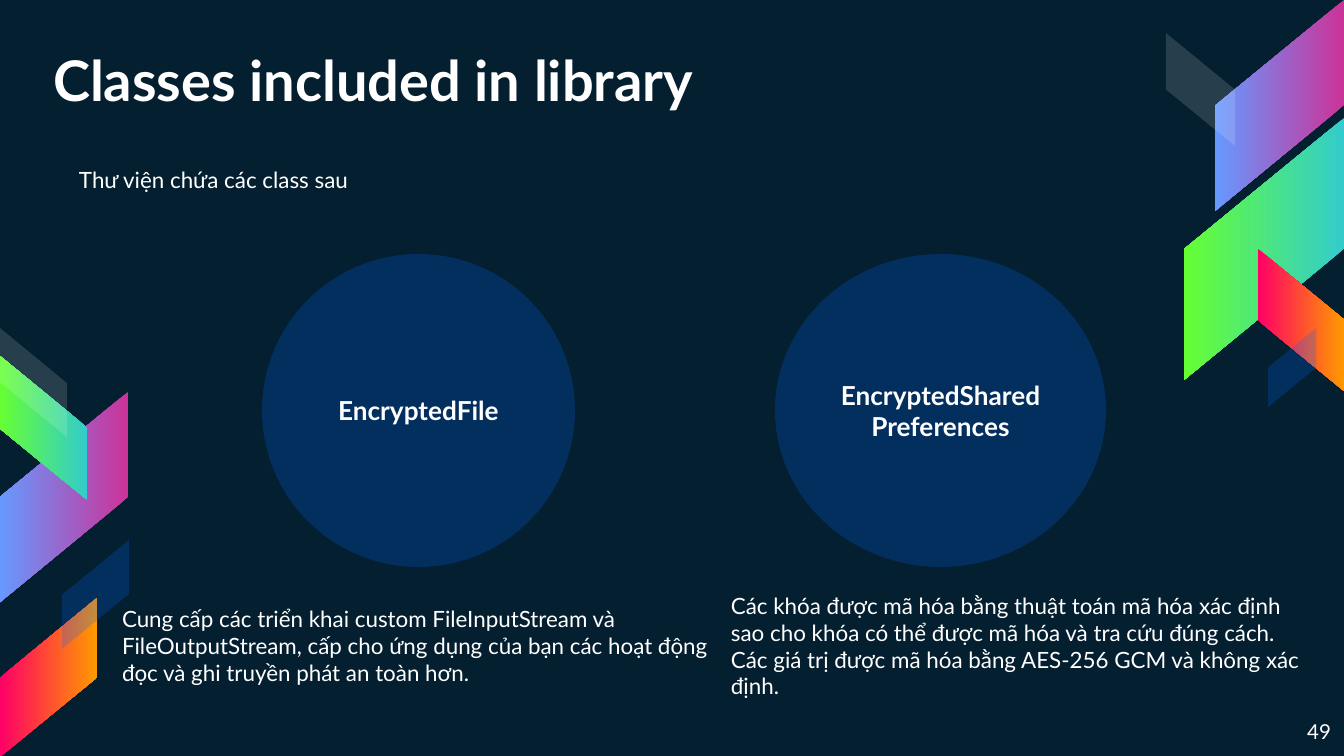
"""Build the slide that presents the two classes of the encryption library."""
from dataclasses import dataclass

from lxml import etree
from pptx import Presentation
from pptx import util as u
from pptx.dml.color import RGBColor
from pptx.enum import shapes, text
from pptx.oxml.ns import qn

SCALE = 914400 / 134.4
FONT = "Lato"
WHITE, BLUE = "FFFFFF", "0066FF"
PINK, TEAL, ORANGE = ("CC3399", "6699FF"), ("33CCCC", "66FF33"), ("FF0066", "FF9900")
LEFT, CENTER, RIGHT = text.PP_ALIGN.LEFT, text.PP_ALIGN.CENTER, text.PP_ALIGN.RIGHT
TOP, MIDDLE, BOTTOM = text.MSO_ANCHOR.TOP, text.MSO_ANCHOR.MIDDLE, text.MSO_ANCHOR.BOTTOM


@dataclass
class Ribbon:
    """A slanted band, placed by the box in which it shows."""
    x: int
    y: int
    w: int
    h: int
    turn: int
    rising: bool
    colors: tuple[str, ...]
    alpha: int = 100


@dataclass
class Label:
    """A text box and its paragraphs."""
    x: int
    y: int
    w: int
    h: int
    lines: tuple[str, ...]
    size: int = 12
    bold: bool = False
    align: text.PP_ALIGN = LEFT
    anchor: text.MSO_ANCHOR = TOP
    inset: int = 7
    grow: bool = True


@dataclass
class Circle:
    """A round shape that names a class."""
    x: int
    y: int
    w: int
    h: int
    name: str


RIBBONS = [
    Ribbon(1215, 0, 129, 211, 90, True, PINK),
    Ribbon(1184, 118, 160, 262, 90, True, TEAL),
    Ribbon(1258, 249, 86, 142, 270, False, ORANGE),
    Ribbon(1166, 33, 69, 113, 270, False, (WHITE,), 14),
    Ribbon(1268, 328, 48, 79, 270, True, (BLUE,), 23),
    Ribbon(-1, 392, 129, 211, 90, True, PINK),
    Ribbon(0, 356, 87, 144, 90, False, TEAL),
    Ribbon(0, 598, 97, 159, 270, True, ORANGE),
    Ribbon(0, 328, 67, 109, 270, False, (WHITE,), 14),
    Ribbon(62, 540, 67, 109, 270, True, (BLUE,), 23),
]

CIRCLES = [
    Circle(262, 254, 313, 313, "EncryptedFile"),
    Circle(775, 254, 331, 313, "EncryptedSharedPreferences"),
]

LABELS = [
    Label(1258, 707, 86, 49, ("49",), 11, align=RIGHT, inset=13, grow=False),
    Label(40, 32, 878, 94, ("Classes included in library",), 30, True,
          anchor=BOTTOM, inset=13, grow=False),
    Label(66, 159, 546, 67, ("Thư viện chứa các class sau",)),
    Label(718, 585, 607, 122, (
        "Các khóa được mã hóa bằng thuật toán mã hóa xác định sao cho khóa "
        "có thể được mã hóa và tra cứu đúng cách.",
        "Các giá trị được mã hóa bằng AES-256 GCM và không xác định.")),
    Label(109, 598, 620, 95, (
        "Cung cấp các triển khai custom FileInputStream và FileOutputStream, "
        "cấp cho ứng dụng của bạn các hoạt động đọc và ghi truyền phát an toàn hơn.",)),
]


def px(n: float) -> int:
    """Turn px into EMU."""
    return u.Emu(round(n * SCALE))


def rgb(color: str) -> RGBColor:
    """Turn a hex string into a colour."""
    return RGBColor.from_string(color)


def paint(sp, colors: tuple[str, ...], alpha: int = 100) -> None:
    """Fill a shape with one colour or a gradient, without line or shadow."""
    sp.shadow.inherit = False
    sp.line.fill.background()
    if len(colors) > 1:
        sp.fill.gradient()
        sp.fill.gradient_angle = 270
        for stop, color in zip(sp.fill.gradient_stops, colors):
            stop.color.rgb = rgb(color)
        return
    sp.fill.solid()
    sp.fill.fore_color.rgb = rgb(colors[0])
    clr = sp.fill._xPr.find(".//" + qn("a:srgbClr"))
    etree.SubElement(clr, qn("a:alpha"), val=str(alpha * 1000))


def write(sp, lines: tuple[str, ...], size: int, bold: bool, align: text.PP_ALIGN,
          anchor: text.MSO_ANCHOR, inset: int) -> None:
    """Write white paragraphs into a shape."""
    tf = sp.text_frame
    tf.word_wrap = True
    tf.vertical_anchor = anchor
    tf.margin_left = tf.margin_right = px(13)
    tf.margin_top = tf.margin_bottom = px(inset)
    for i, line in enumerate(lines):
        p = tf.add_paragraph() if i else tf.paragraphs[0]
        p.alignment = align
        r = p.add_run()
        r.text = line
        r.font.name, r.font.size, r.font.bold = FONT, u.Pt(size), bold
        r.font.color.rgb = rgb(WHITE)


def draw_ribbon(s, b: Ribbon) -> None:
    """Draw a parallelogram turned on its side."""
    shift = (b.h - b.w) / 2
    sp = s.shapes.add_shape(shapes.MSO_SHAPE.PARALLELOGRAM, px(b.x - shift),
                            px(b.y + shift), px(b.h), px(b.w))
    sp.adjustments[0] = 0.82
    sp.rotation = b.turn
    if b.rising:
        sp._element.spPr.find(qn("a:xfrm")).set("flipH", "1")
    paint(sp, b.colors, b.alpha)


def draw_circle(s, c: Circle) -> None:
    """Draw a circle with the class name in its middle."""
    sp = s.shapes.add_shape(shapes.MSO_SHAPE.OVAL, px(c.x), px(c.y), px(c.w), px(c.h))
    paint(sp, (BLUE,), 23)
    write(sp, (c.name,), 14, True, CENTER, MIDDLE, 13)


def draw_label(s, t: Label) -> None:
    """Draw a text box."""
    sp = s.shapes.add_textbox(px(t.x), px(t.y), px(t.w), px(t.h))
    write(sp, t.lines, t.size, t.bold, t.align, t.anchor, t.inset)
    if t.grow:
        sp.text_frame.auto_size = text.MSO_AUTO_SIZE.SHAPE_TO_FIT_TEXT


def main() -> None:
    """Build and save the slide."""
    prs = Presentation()
    prs.slide_width, prs.slide_height = px(1344), px(756)
    s = prs.slides.add_slide(prs.slide_layouts[6])
    s.background.fill.solid()
    s.background.fill.fore_color.rgb = rgb("041F30")
    for ribbon in RIBBONS:
        draw_ribbon(s, ribbon)
    for circle in CIRCLES:
        draw_circle(s, circle)
    for label in LABELS:
        draw_label(s, label)
    prs.save("out.pptx")


if __name__ == "__main__":
    main()
